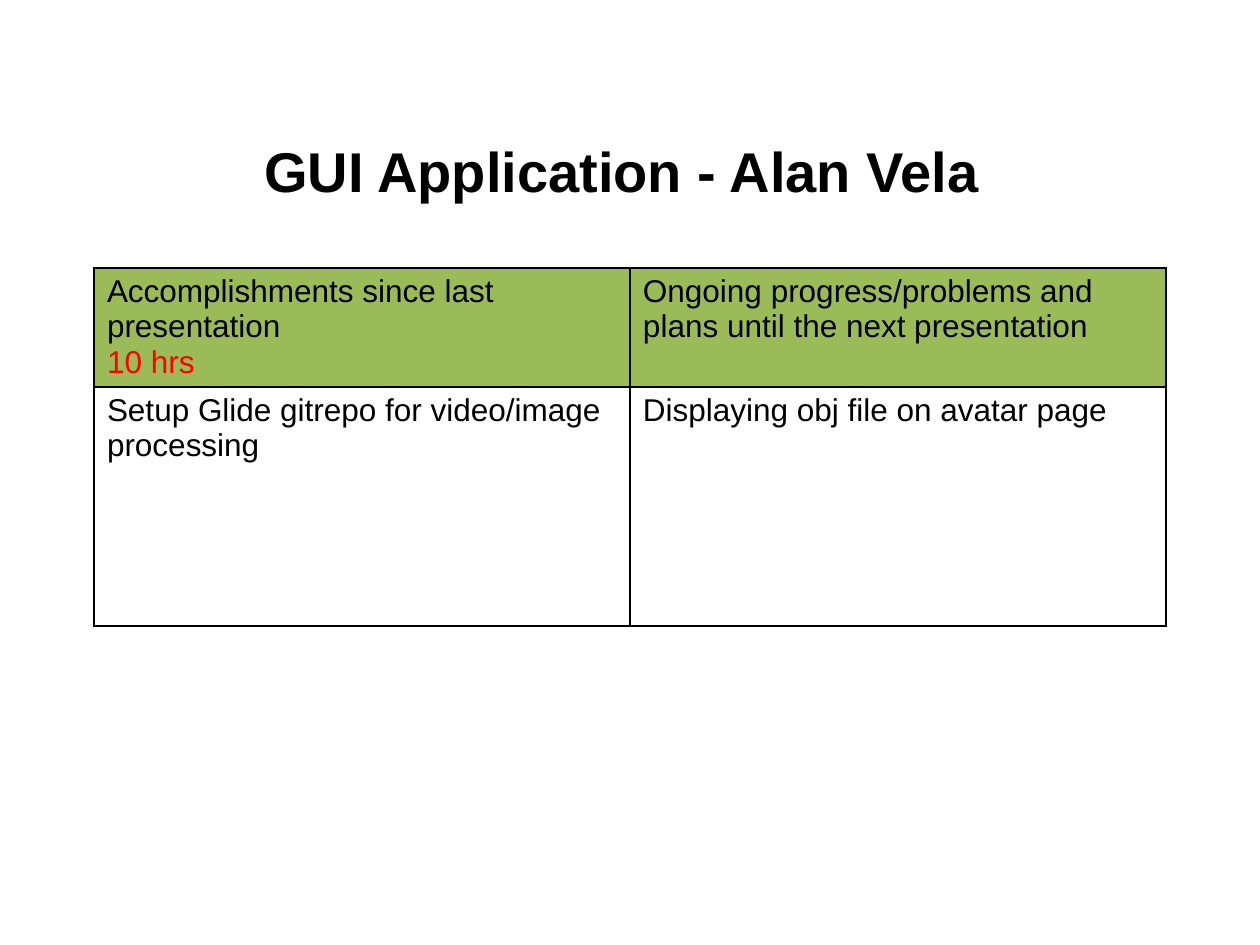
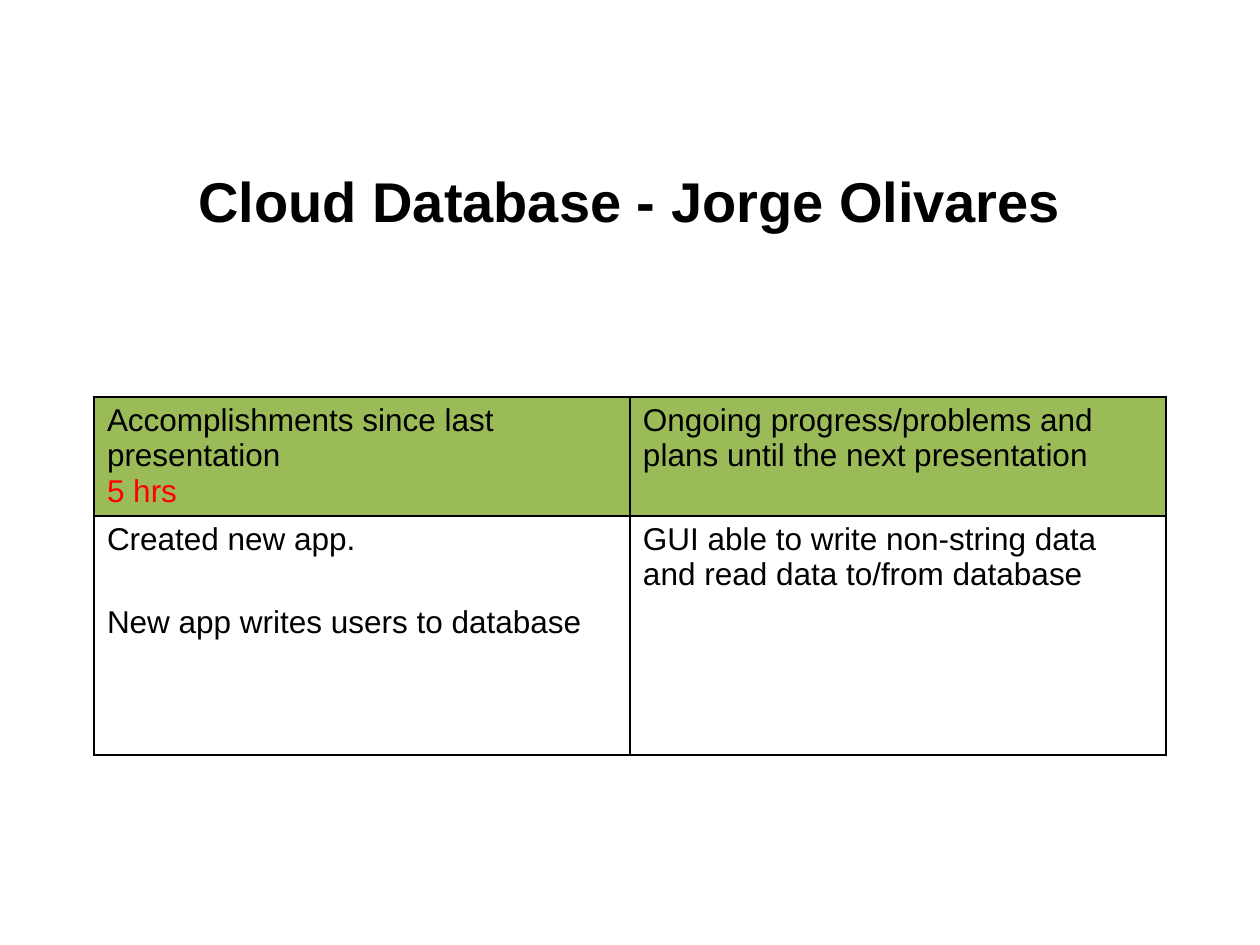
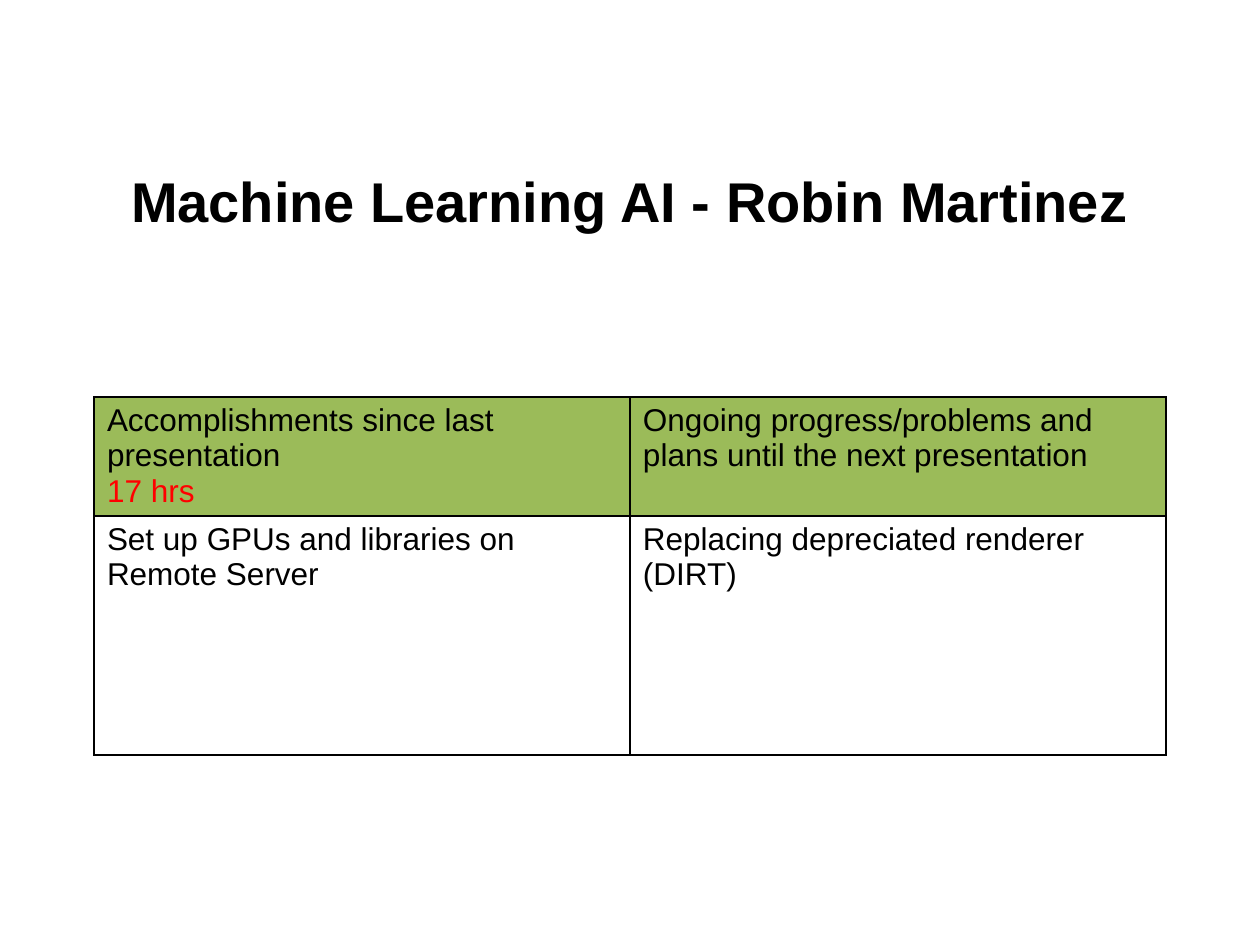
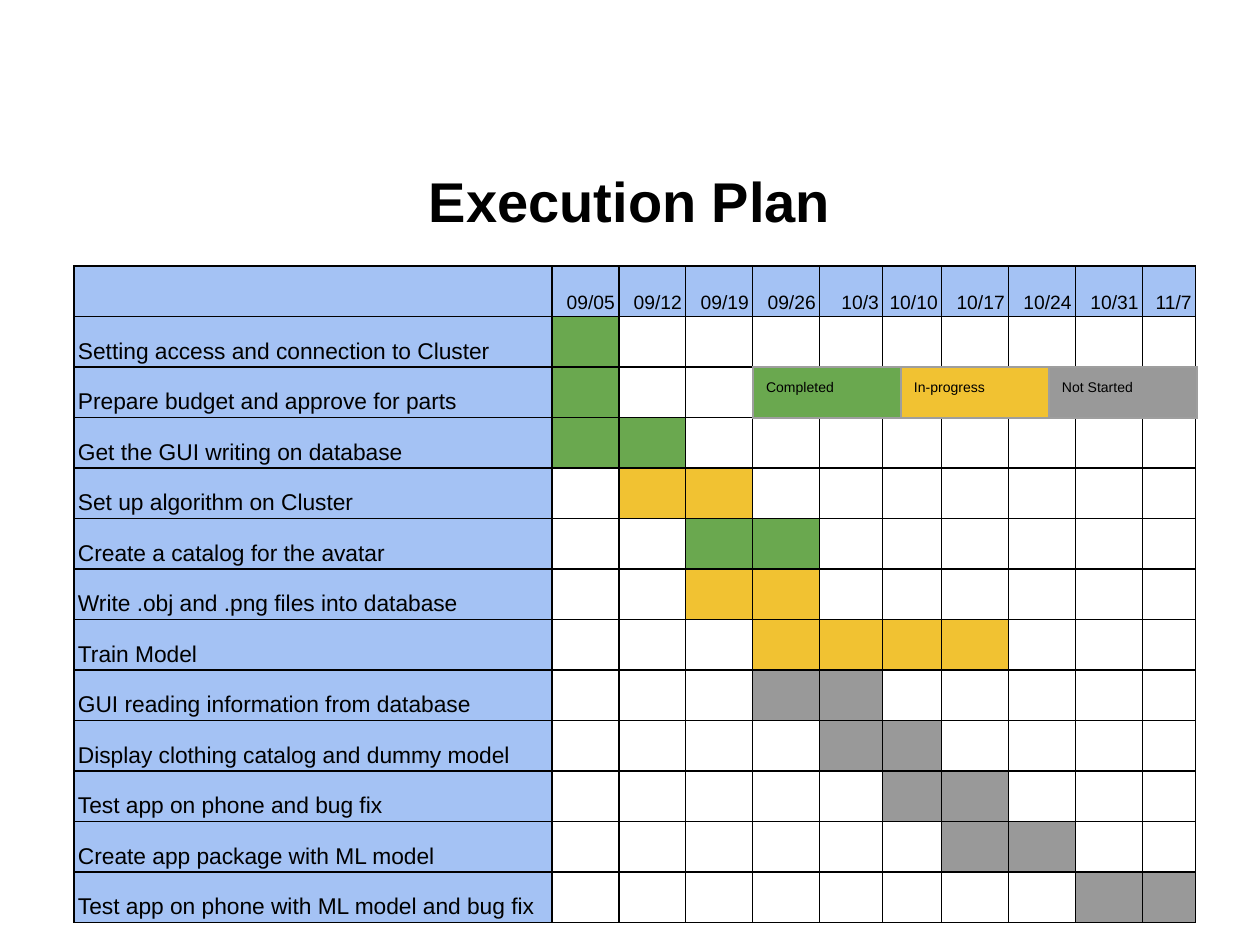
import pptx
import pptx.util
import pptx.dml.color
import pptx.enum.text
import pptx.oxml
import pptx.oxml.ns

Pt = pptx.util.Pt
RGBColor = pptx.dml.color.RGBColor
ALIGN = pptx.enum.text.PP_ALIGN
ANCHOR = pptx.enum.text.MSO_ANCHOR

SCALE = 914400 / 126
FONT = "Arial"
BLACK = RGBColor(0x00, 0x00, 0x00)
WHITE = RGBColor(0xFF, 0xFF, 0xFF)
RED = RGBColor(0xFF, 0x00, 0x00)
HEADER_GREEN = RGBColor(0x9B, 0xBB, 0x59)
PLAN_BLUE = RGBColor(0xA4, 0xC2, 0xF4)
LEGEND_LINE = RGBColor(0x9E, 0x9E, 0x9E)
COMPLETED = RGBColor(0x6A, 0xA8, 0x4F)
IN_PROGRESS = RGBColor(0xF1, 0xC2, 0x32)
NOT_STARTED = RGBColor(0x99, 0x99, 0x99)

REPORT_CELL = {"margin_left": 13, "margin_right": 13, "margin_top": 6, "margin_bottom": 6}
PLAN_CELL = {"margin_left": 4, "margin_right": 4, "margin_top": 3, "margin_bottom": 3}
LEGEND_CELL = {"margin_left": 13, "margin_right": 13, "margin_top": 13, "margin_bottom": 13}

DATES = ["09/05", "09/12", "09/19", "09/26", "10/3", "10/10", "10/17", "10/24", "10/31", "11/7"]
PLAN_WIDTHS = [478, 67, 67, 67, 67, 63, 59, 67, 67, 67, 53]
PLAN_HEIGHT = 657
TASKS = [
    ("Setting access and connection to Cluster", 1, 1, COMPLETED),
    ("Prepare budget and approve for parts", 1, 1, COMPLETED),
    ("Get the GUI writing on database", 1, 2, COMPLETED),
    ("Set up algorithm on Cluster", 2, 3, IN_PROGRESS),
    ("Create a catalog for the avatar", 3, 4, COMPLETED),
    ("Write .obj and .png files into database", 3, 4, IN_PROGRESS),
    ("Train Model", 4, 7, IN_PROGRESS),
    ("GUI reading information from database", 4, 5, NOT_STARTED),
    ("Display clothing catalog and dummy model", 5, 6, NOT_STARTED),
    ("Test app on phone and bug fix", 6, 7, NOT_STARTED),
    ("Create app package with ML model", 7, 8, NOT_STARTED),
    ("Test app on phone with ML model and bug fix", 9, 10, NOT_STARTED),
]
LEGEND = [("Completed", COMPLETED), ("In-progress", IN_PROGRESS), ("Not Started", NOT_STARTED)]


def px(n):
    return round(n * SCALE)


def set_all(obj, values):
    for name, value in values.items():
        setattr(obj, name, value)


def write(p, text, size, color=BLACK, bold=False):
    r = p.add_run()
    r.text = text
    set_all(r.font, {"name": FONT, "size": Pt(size), "bold": bold})
    r.font.color.rgb = color


def add_slide(prs, title, left=63, top=145):
    s = prs.slides.add_slide(prs.slide_layouts[5])
    sp = s.shapes.title
    set_all(sp, {"left": px(left), "top": px(top), "width": px(1134), "height": px(111)})
    tf = sp.text_frame
    set_all(tf, {"word_wrap": True, "vertical_anchor": ANCHOR.MIDDLE,
                 "auto_size": pptx.enum.text.MSO_AUTO_SIZE.NONE})
    p = tf.paragraphs[0]
    p.alignment = ALIGN.CENTER
    write(p, title, 32, bold=True)
    return s


def set_borders(cell, color, width):
    tc_pr = cell._tc.get_or_add_tcPr()
    for side in ("lnL", "lnR", "lnT", "lnB"):
        tc_pr.append(pptx.oxml.parse_xml(
            f'<a:{side} {pptx.oxml.ns.nsdecls("a")} w="{Pt(width)}">'
            f'<a:solidFill><a:srgbClr val="{color}"/></a:solidFill></a:{side}>'))


def add_grid(s, left, top, widths, heights, margins, line, line_width):
    frame = s.shapes.add_table(len(heights), len(widths), px(left), px(top),
                               px(sum(widths)), px(sum(heights)))
    table = frame.table
    set_all(table, {"first_row": False, "horz_banding": False})
    for column, width in zip(table.columns, widths):
        column.width = px(width)
    for row, height in zip(table.rows, heights):
        row.height = px(height)
    for cell in table.iter_cells():
        set_all(cell, {name: px(value) for name, value in margins.items()})
        set_borders(cell, line, line_width)
        paint(cell, WHITE)
    return table


def paint(cell, color):
    cell.fill.solid()
    cell.fill.fore_color.rgb = color


def fill_cell(cell, lines, size, gap=0, **paragraph):
    tf = cell.text_frame
    for i, (text, color) in enumerate(lines):
        p = tf.add_paragraph() if i else tf.paragraphs[0]
        set_all(p, paragraph)
        if i and gap:
            p.space_before = Pt(gap)
        write(p, text, size, color)


def add_report(s, top, hours, done, plans):
    table = add_grid(s, 94, top, [536, 536], [119, 239], REPORT_CELL, BLACK, 1)
    headers = [
        [("Accomplishments since last presentation", BLACK), (hours, RED)],
        [("Ongoing progress/problems and plans until the next presentation", BLACK)],
    ]
    for col, (header, body) in enumerate(zip(headers, (done, plans))):
        paint(table.cell(0, col), HEADER_GREEN)
        fill_cell(table.cell(0, col), header, 18)
        fill_cell(table.cell(1, col), [(text, BLACK) for text in body], 18, gap=27)


def add_plan(s):
    count = len(TASKS) + 1
    table = add_grid(s, 74, 266, PLAN_WIDTHS, [PLAN_HEIGHT / count] * count,
                     PLAN_CELL, BLACK, 0.75)
    paint(table.cell(0, 0), PLAN_BLUE)
    for col, date in enumerate(DATES, 1):
        cell = table.cell(0, col)
        cell.vertical_anchor = ANCHOR.BOTTOM
        paint(cell, PLAN_BLUE)
        fill_cell(cell, [(date, BLACK)], 11, alignment=ALIGN.RIGHT, line_spacing=1.15)
    for row, (task, first, last, status) in enumerate(TASKS, 1):
        cell = table.cell(row, 0)
        cell.vertical_anchor = ANCHOR.BOTTOM
        paint(cell, PLAN_BLUE)
        fill_cell(cell, [(task, BLACK)], 13, line_spacing=1.15)
        for col in range(first, last + 1):
            paint(table.cell(row, col), status)


def add_legend(s):
    table = add_grid(s, 753, 367, [148] * len(LEGEND), [51], LEGEND_CELL, LEGEND_LINE, 0.75)
    for col, (label, status) in enumerate(LEGEND):
        paint(table.cell(0, col), status)
        fill_cell(table.cell(0, col), [(label, BLACK)], 8)


def main():
    prs = pptx.Presentation()
    set_all(prs, {"slide_width": px(1260), "slide_height": px(945)})

    s = add_slide(prs, "GUI Application - Alan Vela", left=55, top=115)
    add_report(s, 268, "10 hrs", ["Setup Glide gitrepo for video/image processing"],
               ["Displaying obj file on avatar page"])

    s = add_slide(prs, "Cloud Database - Jorge Olivares")
    add_report(s, 397, "5 hrs", ["Created new app.", "New app writes users to database"],
               ["GUI able to write non-string data and read data to/from database"])

    s = add_slide(prs, "Machine Learning AI - Robin Martinez")
    add_report(s, 397, "17 hrs", ["Set up GPUs and libraries on Remote Server"],
               ["Replacing depreciated renderer (DIRT)"])

    s = add_slide(prs, "Execution Plan")
    add_plan(s)
    add_legend(s)

    prs.save("out.pptx")


if __name__ == "__main__":
    main()
